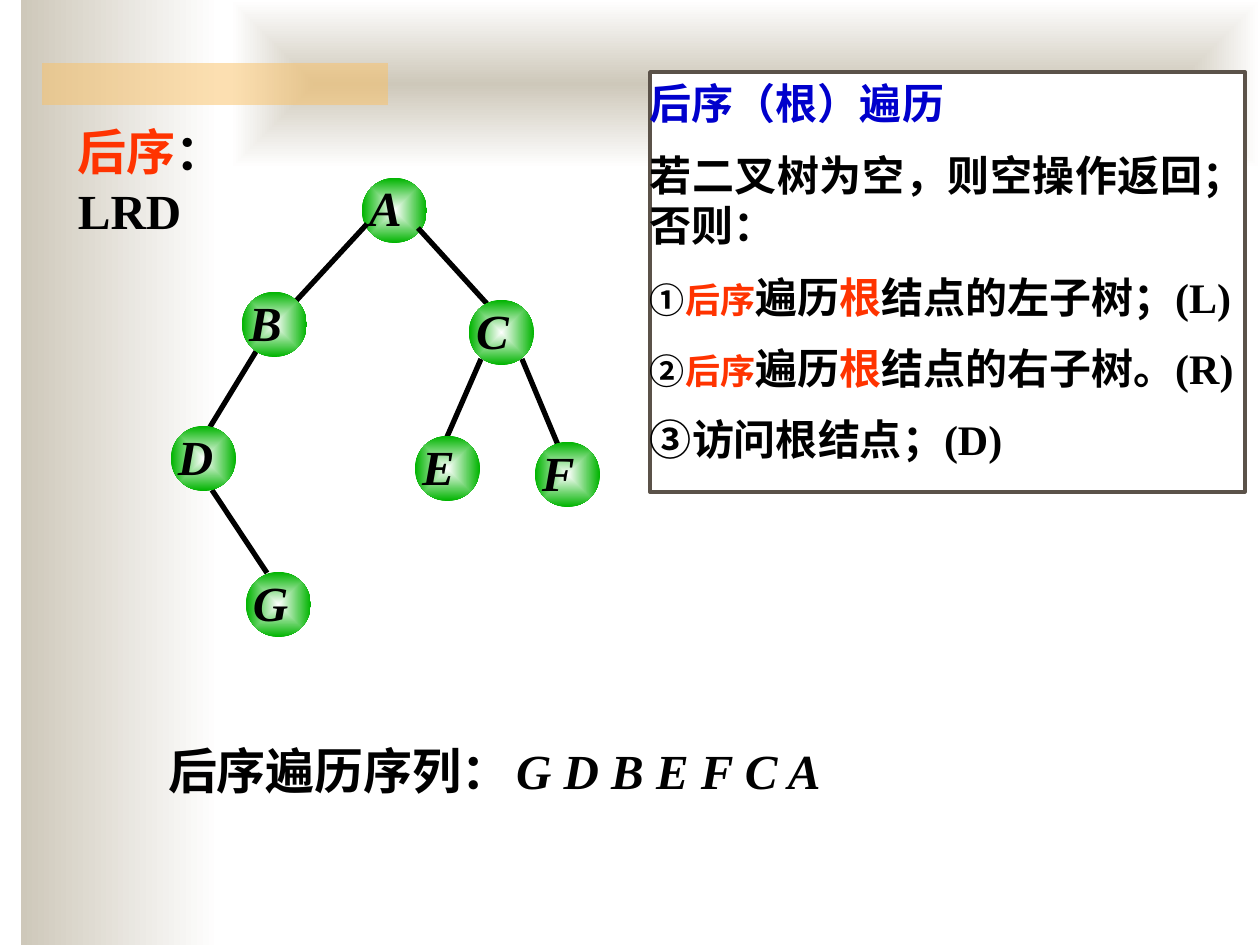
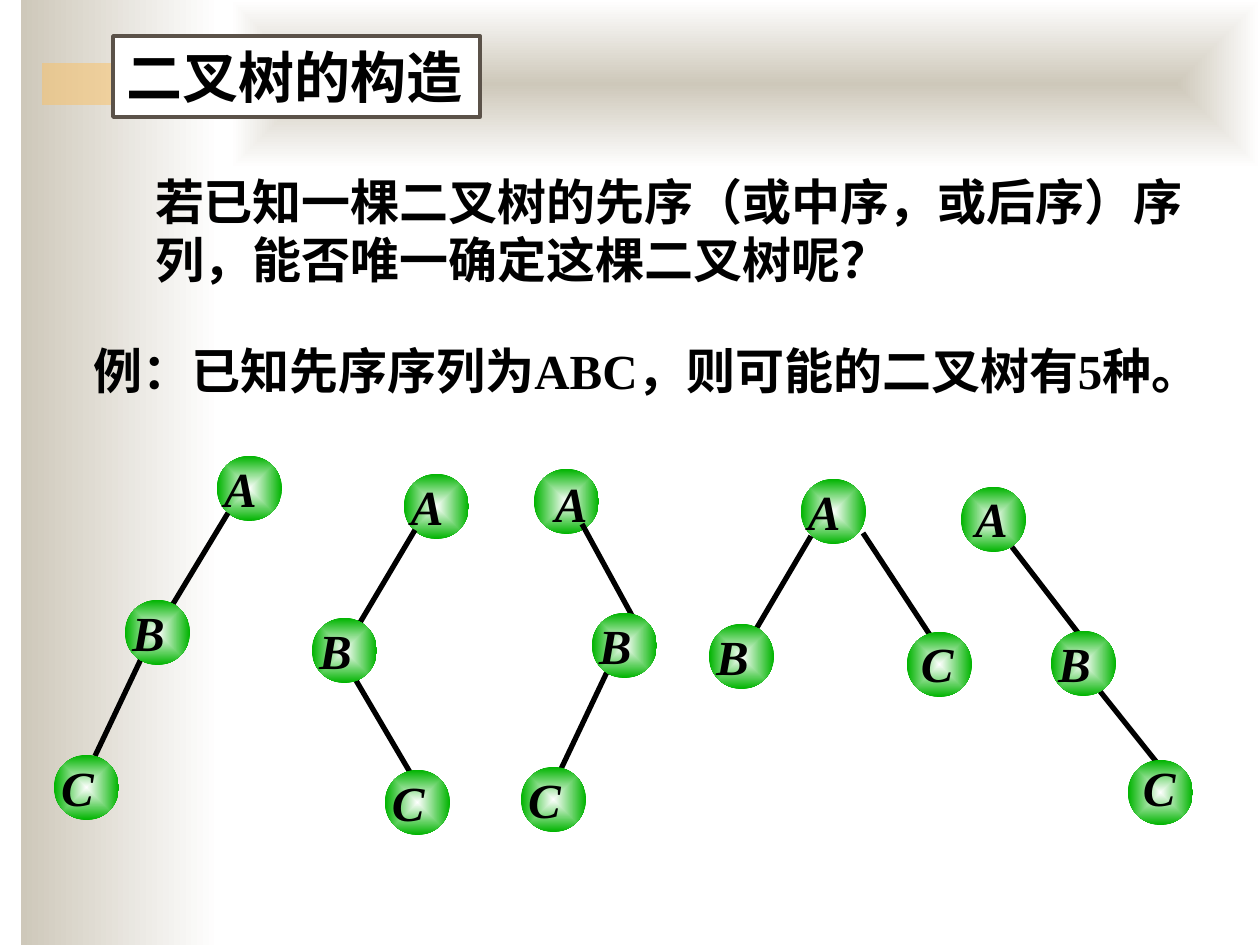
from lxml import etree
from pptx import Presentation
from pptx.dml.color import RGBColor
from pptx.enum.shapes import MSO_CONNECTOR as LINE, MSO_SHAPE as SHAPE
from pptx.enum.text import MSO_ANCHOR as ANCHOR, MSO_AUTO_SIZE as FIT, PP_ALIGN as ALIGN
from pptx.oxml.ns import qn
from pptx.util import Emu, Pt

# Shared style
PX = 914400 / 126
SERIF, CJK, SANS = "Times New Roman", "Noto Sans CJK SC", "Lato"
BLACK, WHITE, RED, BLUE = "000000", "FFFFFF", "FF3300", "0000CC"
STONE, AMBER, BROWN, GREEN = "CEC8BA", "FAC164", "5B5249", "00B400"
NODE = 65


def px(n):
    return Emu(round(n * PX))


def rgb(value):
    return RGBColor.from_string(value)


def write(tf, paragraphs, align=ALIGN.LEFT, before=0, leading=None, **fmt):
    """Each paragraph is a list of (text, format changes) runs."""
    for i, runs in enumerate(paragraphs):
        p = tf.add_paragraph() if i else tf.paragraphs[0]
        p.alignment = align
        p.space_before = Pt(before if i else 0)
        if leading:
            p.line_spacing = Pt(leading)
        for text, changes in runs:
            look = {"size": 28, "color": BLACK, "font": SERIF, "asian": SANS,
                    "italic": False, **fmt, **changes}
            r = p.add_run()
            r.text = text
            r.font.name = look["font"]
            r.font.size = Pt(look["size"])
            r.font.bold, r.font.italic = True, look["italic"]
            r.font.color.rgb = rgb(look["color"])
            etree.SubElement(r.font._element, qn("a:ea"), typeface=look["asian"])


class Deck:
    def __init__(self):
        self.prs = Presentation()
        self.prs.slide_width, self.prs.slide_height = px(1260), px(945)
        self.slide = None
        self.label_height, self.label_inset = 84, 5

    def new_slide(self):
        self.slide = self.prs.slides.add_slide(self.prs.slide_layouts[1])

    def frame(self, tf, insets=(13, 6), wrap=True):
        tf.auto_size, tf.word_wrap, tf.vertical_anchor = FIT.NONE, wrap, ANCHOR.TOP
        tf.margin_left = tf.margin_right = px(insets[0])
        tf.margin_top = tf.margin_bottom = px(insets[1])
        return tf

    def shape(self, kind, box, fill=None):
        sp = self.slide.shapes.add_shape(kind, *map(px, box))
        sp.shadow.inherit = False
        sp.line.fill.background()
        if fill:
            sp.fill.solid()
            sp.fill.fore_color.rgb = rgb(fill)
        return sp

    def gradient(self, sp, start, end, from_centre=False):
        sp.fill.gradient()
        sp.fill.gradient_angle = 0
        for stop, color, pos in zip(sp.fill.gradient_stops, (start, end), (0, 1)):
            stop.color.rgb, stop.position = rgb(color), pos
        if from_centre:
            grad = sp.element.spPr.find(qn("a:gradFill"))
            grad.remove(grad.find(qn("a:lin")))
            path = etree.SubElement(grad, qn("a:path"), path="shape")
            etree.SubElement(path, qn("a:fillToRect"), dict.fromkeys("ltrb", "50000"))
        return sp

    def master_bands(self):
        """Draw the bands once and hand them to the slide master."""
        side = self.gradient(self.shape(SHAPE.RECTANGLE, (21, 0, 199, 945)), STONE, WHITE)
        top = self.gradient(self.shape(SHAPE.RECTANGLE, (231, 0, 1029, 168)), STONE, WHITE, True)
        bar = self.shape(SHAPE.RECTANGLE, (42, 63, 346, 42), AMBER)
        color = bar.element.spPr.find(".//" + qn("a:srgbClr"))
        etree.SubElement(color, qn("a:alpha"), val="50000")
        tree = self.prs.slide_master.shapes.element
        for i, sp in enumerate((side, top, bar)):
            sp.element.nvSpPr.cNvPr.id = 101 + i
            tree.insert(2 + i, sp.element)

    def placeholder(self, idx, box, paragraphs, insets=(13, 6), wrap=True, framed=False, **fmt):
        sp = self.slide.placeholders[idx]
        sp.left, sp.top, sp.width, sp.height = map(px, box)
        if framed:
            sp.fill.solid()
            sp.fill.fore_color.rgb = rgb(WHITE)
            sp.line.color.rgb, sp.line.width = rgb(BROWN), Pt(2)
        tf = self.frame(sp.text_frame, insets, wrap)
        write(tf, paragraphs, **fmt)
        for p in tf.paragraphs:
            pPr = p._p.get_or_add_pPr()
            pPr.set("marL", "0")
            pPr.set("indent", "0")
            etree.SubElement(pPr, qn("a:buNone"))

    def title(self, box, runs, **fmt):
        self.placeholder(0, box, [runs], **fmt)

    def body(self, box, paragraphs, **fmt):
        self.placeholder(1, box, paragraphs, **fmt)

    def text(self, box, text, insets=(13, 6), **fmt):
        sp = self.slide.shapes.add_textbox(*map(px, box))
        write(self.frame(sp.text_frame, insets), [[(text, {})]], **fmt)
        return sp

    def edge(self, x1, y1, x2, y2):
        cx = self.slide.shapes.add_connector(LINE.STRAIGHT, *map(px, (x1, y1, x2, y2)))
        cx.line.color.rgb, cx.line.width = rgb(BLACK), Pt(3)
        etree.SubElement(cx.element.spPr, qn("a:effectLst"))

    def node(self, name, x, y, dx=7, dy=-5):
        self.gradient(self.shape(SHAPE.OVAL, (x, y, NODE, NODE)), WHITE, GREEN, True)
        sp = self.text((x + dx, y + dy, 54, self.label_height), name, insets=(0, 0), italic=True)
        sp.text_frame.margin_top = px(self.label_inset)

    def tree(self, root, edges, nodes):
        """Edges lie over the root and under the other nodes."""
        self.node(*root)
        for edge in edges:
            self.edge(*edge)
        for node in nodes:
            self.node(*node)


def postorder_slide(deck):
    deck.new_slide()
    deck.master_bands()
    deck.title((65, 116, 220, 130), [("后序", {"color": RED}), ("：LRD", {})])

    # Recursive definition
    small, red, circled = {"size": 20}, {"color": RED}, {"font": CJK, "asian": CJK}

    def step(mark, rest):
        return [(mark, {**small, **circled}), ("后序", {**small, **red}),
                ("遍历", {}), ("根", red), (rest, {})]

    deck.body((650, 72, 595, 420), [
        [("后序（根）遍历", {"color": BLUE})],
        [("若二叉树为空，则空操作返回；否则：", {})],
        step("①", "结点的左子树；(L)"),
        step("②", "结点的右子树。(R)"),
        [("③", circled), ("访问根结点；(D)", {})],
    ], insets=(0, 6), framed=True, size=24, align=ALIGN.JUSTIFY, before=12, leading=28.8)

    # Binary tree
    deck.tree(
        ("A", 362, 178),
        [(367, 224, 296, 301), (418, 228, 489, 306), (257, 350, 210, 427),
         (212, 490, 267, 573), (481, 359, 447, 437), (522, 359, 558, 445)],
        [("B", 242, 292), ("C", 469, 300), ("D", 171, 426),
         ("E", 415, 436), ("F", 535, 442), ("G", 246, 572)])

    # Resulting sequence
    deck.text((155, 734, 374, 72), "后序遍历序列：", align=ALIGN.JUSTIFY)
    deck.text((503, 734, 336, 72), "G D B E F C A", align=ALIGN.JUSTIFY, italic=True)


def construction_slide(deck):
    deck.new_slide()
    deck.label_height, deck.label_inset = 76, 8
    deck.title((113, 36, 367, 81), [("二叉树的构造", {})],
               wrap=False, framed=True, size=32, font=SANS)
    question = "若已知一棵二叉树的先序（或中序，或后序）序列，能否唯一确定这棵二叉树呢？"
    deck.body((142, 165, 1063, 130), [[(question, {})]], font=CJK)
    deck.text((81, 334, 1148, 72), "例：已知先序序列为ABC，则可能的二叉树有5种。")

    # The five possible trees: root, edges, other nodes
    trees = [
        (("A", 217, 456), [(228, 513, 170, 609), (141, 659, 95, 756)],
         [("B", 125, 600), ("C", 54, 755)]),
        (("A", 404, 474), [(415, 530, 358, 626), (354, 677, 411, 774)],
         [("B", 312, 618), ("C", 385, 770)]),
        (("A", 534, 469, 21, -3), [(582, 524, 635, 621), (607, 672, 561, 769)],
         [("B", 592, 613), ("C", 521, 767)]),
        (("A", 801, 479), [(811, 536, 755, 631), (863, 533, 949, 664)],
         [("B", 709, 624), ("C", 907, 632, 14, -6)]),
        (("A", 961, 487, 14, -6), [(1012, 547, 1079, 634), (1095, 685, 1166, 774)],
         [("B", 1051, 631), ("C", 1128, 760, 15, -10)]),
    ]
    for tree in trees:
        deck.tree(*tree)


def main():
    deck = Deck()
    postorder_slide(deck)
    construction_slide(deck)
    deck.prs.save("out.pptx")


if __name__ == "__main__":
    main()
